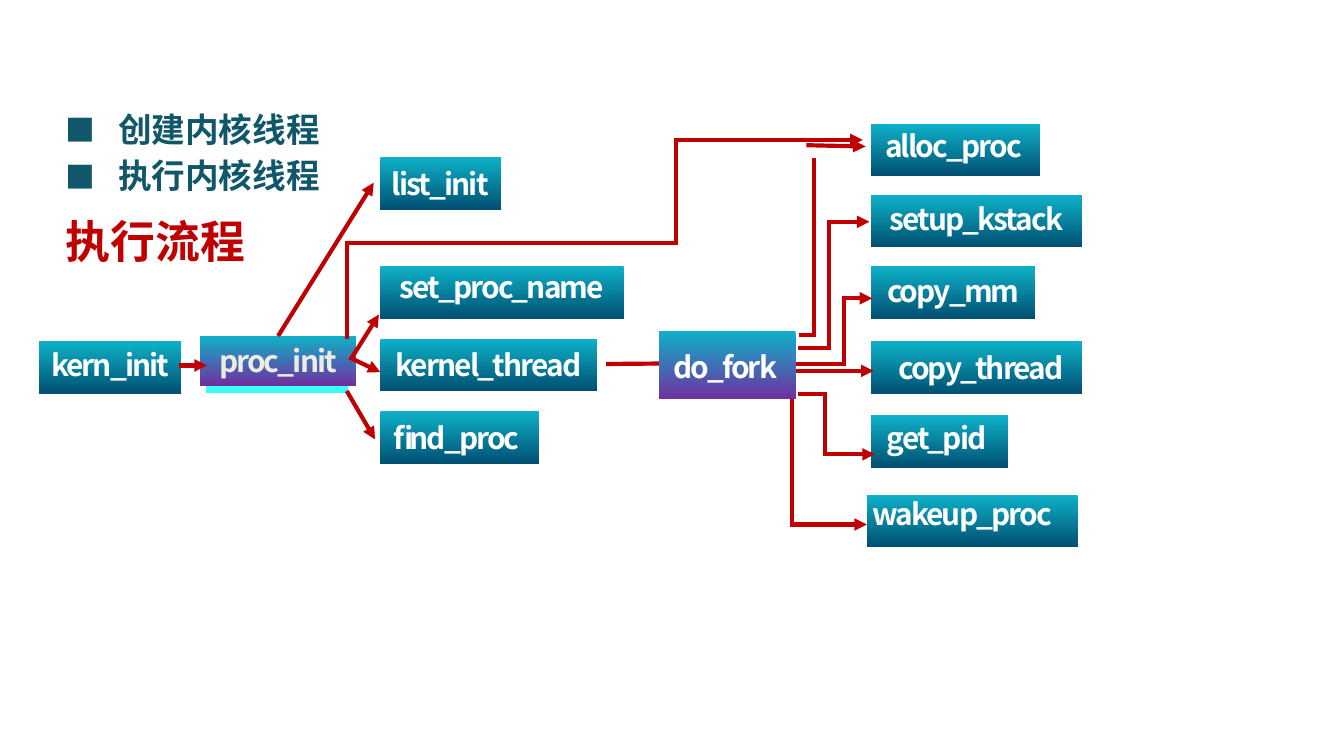
from dataclasses import dataclass
from itertools import pairwise

from lxml import etree
from pptx import Presentation
from pptx import util as u
from pptx.dml import color
from pptx.enum import shapes, text
from pptx.oxml import ns

Point = tuple[float, float]
Frame = tuple[float, float, float, float]


@dataclass(frozen=True)
class Theme:
    font: str = "Noto Sans CJK SC"
    bullet_font: str = "Noto Sans CJK JP"
    title_color: str = "C00000"
    list_color: str = "11576A"
    label_color: str = "FFFFFF"
    init_color: str = "EEECE1"
    line_color: str = "C00000"
    teal: tuple[str, str] = ("0EB1C8", "005072")
    purple: tuple[str, str] = ("0EB1C8", "7030A0")
    cyan: tuple[str, str] = ("CCFFFF", "33FFFF")
    title_size: float = 24
    list_size: float = 18
    label_size: float = 16
    line_width: float = 2.25


@dataclass(frozen=True)
class Step:
    """A function box and the place of its label."""
    name: str
    left: float
    top: float
    width: float
    label_left: float
    label_top: float
    label_width: float
    align: text.PP_ALIGN = text.PP_ALIGN.CENTER


@dataclass(frozen=True)
class Route:
    """A line through points, with an arrowhead on its last segment."""
    points: tuple[Point, ...]
    arrow: bool = True


THEME = Theme()
BOX_HEIGHT = 28.1
LABEL_HEIGHT = 26.6
CALLEE_LEFT = 203.8
FORK_LEFT = 466.6

STEPS = [
    Step("list_init", CALLEE_LEFT, 84.2, 64.8, 200.2, 85, 71.3),
    Step("set_proc_name", CALLEE_LEFT, 142.6, 130.3, 200.9, 140.4, 136),
    Step("kernel_thread", CALLEE_LEFT, 181.4, 115.9, 198.7, 182.2, 126),
    Step("find_proc", CALLEE_LEFT, 220.3, 85, 200.2, 221, 88.6),
    Step("kern_init", 20.9, 182.9, 76.3, 17.3, 182.2, 83.5),
    Step("alloc_proc", FORK_LEFT, 66.2, 90.7, 463.7, 64.8, 94.3),
    Step("setup_kstack", FORK_LEFT, 104.4, 113, 463, 103.7, 120.2),
    Step("copy_mm", FORK_LEFT, 142.6, 87.8, 465.1, 142.6, 91.4),
    Step("copy_thread", FORK_LEFT, 182.9, 113, 468.7, 183.6, 113.8),
    Step("get_pid", FORK_LEFT, 222.5, 73.4, 465.1, 221, 73.4),
    Step("wakeup_proc", 464.4, 265, 113, 460.1, 262.1, 121, text.PP_ALIGN.LEFT),
]

ROUTES = [
    # Calls from kern_init and proc_init
    Route(((95.8, 195.8), (110.9, 195.8))),
    Route(((149, 180), (200.2, 97.9))),
    Route(((185.8, 180.7), (185.8, 130.3), (362.2, 130.3), (362.2, 75), (462.2, 75))),
    Route(((188.6, 191.5), (203, 168.5))),
    Route(((187.2, 191.5), (203.8, 199.4))),
    Route(((185.8, 209.5), (200.9, 235.4))),
    # Calls to and from do_fork
    Route(((324.7, 195), (395.3, 194.4))),
    Route(((429, 179.3), (436, 179.3), (436, 85.7)), arrow=False),
    Route(((432, 77.8), (463.7, 78.5))),
    Route(((428.4, 186.5), (444.2, 186.5), (444.2, 118.8), (465.8, 118.8))),
    Route(((427.7, 195.1), (452.2, 195.1), (452.2, 159.8), (467.3, 159.8))),
    Route(((426.2, 198.7), (468, 198.7))),
    Route(((428.4, 211), (442, 211), (442, 243.4), (468.7, 243.4))),
    Route(((424.1, 214.6), (424.1, 281), (464.4, 281))),
]


def points(values) -> list[u.Length]:
    return [u.Pt(value) for value in values]


def add_xml(parent, tag: str, **attributes: str) -> None:
    etree.SubElement(parent, ns.qn(tag), attributes)


def style_span(span, size: float, rgb: str) -> None:
    span.font.size = u.Pt(size)
    span.font.bold = True
    span.font.name = THEME.font
    span.font.color.rgb = color.RGBColor.from_string(rgb)
    add_xml(span._r.get_or_add_rPr(), "a:ea", typeface=THEME.font)


def place(holder, frame: Frame) -> None:
    holder.left, holder.top, holder.width, holder.height = points(frame)
    holder.text_frame.auto_size = text.MSO_AUTO_SIZE.NONE
    holder.text_frame.vertical_anchor = text.MSO_ANCHOR.TOP


def add_box(page, frame: Frame, gradient: tuple[str, str]):
    box = page.shapes.add_shape(shapes.MSO_SHAPE.RECTANGLE, *points(frame))
    box.shadow.inherit = False
    box.line.fill.background()
    box.fill.gradient()
    box.fill.gradient_angle = 270
    for stop, rgb in zip(box.fill.gradient_stops, gradient):
        stop.color.rgb = color.RGBColor.from_string(rgb)
    return box


def write_label(box, name: str, rgb: str, align: text.PP_ALIGN) -> None:
    frame = box.text_frame
    frame.text = name
    frame.word_wrap = False
    frame.auto_size = text.MSO_AUTO_SIZE.NONE
    frame.vertical_anchor = text.MSO_ANCHOR.MIDDLE
    para = frame.paragraphs[0]
    para.alignment = align
    span = para.runs[0]
    style_span(span, THEME.label_size, rgb)
    span._r.get_or_add_rPr().set("spc", "-100")


def add_step(page, step: Step, gradient: tuple[str, str], height: float = BOX_HEIGHT) -> None:
    add_box(page, (step.left, step.top, step.width, height), gradient)
    label = page.shapes.add_textbox(
        *points((step.label_left, step.label_top, step.label_width, LABEL_HEIGHT)))
    write_label(label, step.name, THEME.label_color, step.align)


def add_route(page, route: Route) -> None:
    for start, end in pairwise(route.points):
        segment = page.shapes.add_connector(
            shapes.MSO_CONNECTOR.STRAIGHT, *points((*start, *end)))
        segment.line.width = u.Pt(THEME.line_width)
        segment.line.color.rgb = color.RGBColor.from_string(THEME.line_color)
        add_xml(segment._element.spPr, "a:effectLst")
        outline = segment.line._get_or_add_ln()
        if route.arrow and end == route.points[-1]:
            add_xml(outline, "a:tailEnd", type="triangle")
        else:
            outline.set("cap", "sq")


def add_list(holder, items: list[str]) -> None:
    place(holder, (28.1, 59, 176, 60))
    holder.text_frame.text = "\n".join(items)
    for index, para in enumerate(holder.text_frame.paragraphs):
        properties = para._p.get_or_add_pPr()
        properties.set("marL", str(u.Pt(28)))
        properties.set("indent", str(u.Pt(-28)))
        add_xml(properties, "a:buSzPct", val="89000")
        add_xml(properties, "a:buFont", typeface=THEME.bullet_font)
        add_xml(properties, "a:buChar", char="■")
        para.alignment = text.PP_ALIGN.LEFT
        para.line_spacing = 0.8
        para.space_before = u.Pt(7.5 if index else 0)
        style_span(para.runs[0], THEME.list_size, THEME.list_color)


def main() -> None:
    deck = Presentation()
    deck.slide_width, deck.slide_height = points((720, 405))
    page = deck.slides.add_slide(deck.slide_layouts[0])

    # Title and list
    title = page.shapes.title
    place(title, (28.1, 110.9, 162.7, 58.3))
    title.text_frame.text = "执行流程"
    title.text_frame.paragraphs[0].alignment = text.PP_ALIGN.LEFT
    style_span(title.text_frame.paragraphs[0].runs[0], THEME.title_size, THEME.title_color)
    add_list(page.placeholders[1], ["创建内核线程", "执行内核线程"])

    # Function boxes
    for step in STEPS:
        add_step(page, step, THEME.teal)
    add_box(page, (110.2, 182.2, 76.3, BOX_HEIGHT), THEME.cyan)
    init_box = add_box(page, (107.3, 180, 83.5, LABEL_HEIGHT), THEME.purple)
    write_label(init_box, "proc_init", THEME.init_color, text.PP_ALIGN.CENTER)

    # Call lines, with do_fork over the end of its incoming line
    for route in ROUTES:
        add_route(page, route)
    do_fork = Step("do_fork", 352.8, 177.1, 73.4, 351.4, 182.9, 74.2)
    add_step(page, do_fork, THEME.purple, height=36.7)

    deck.save("out.pptx")


if __name__ == "__main__":
    main()
